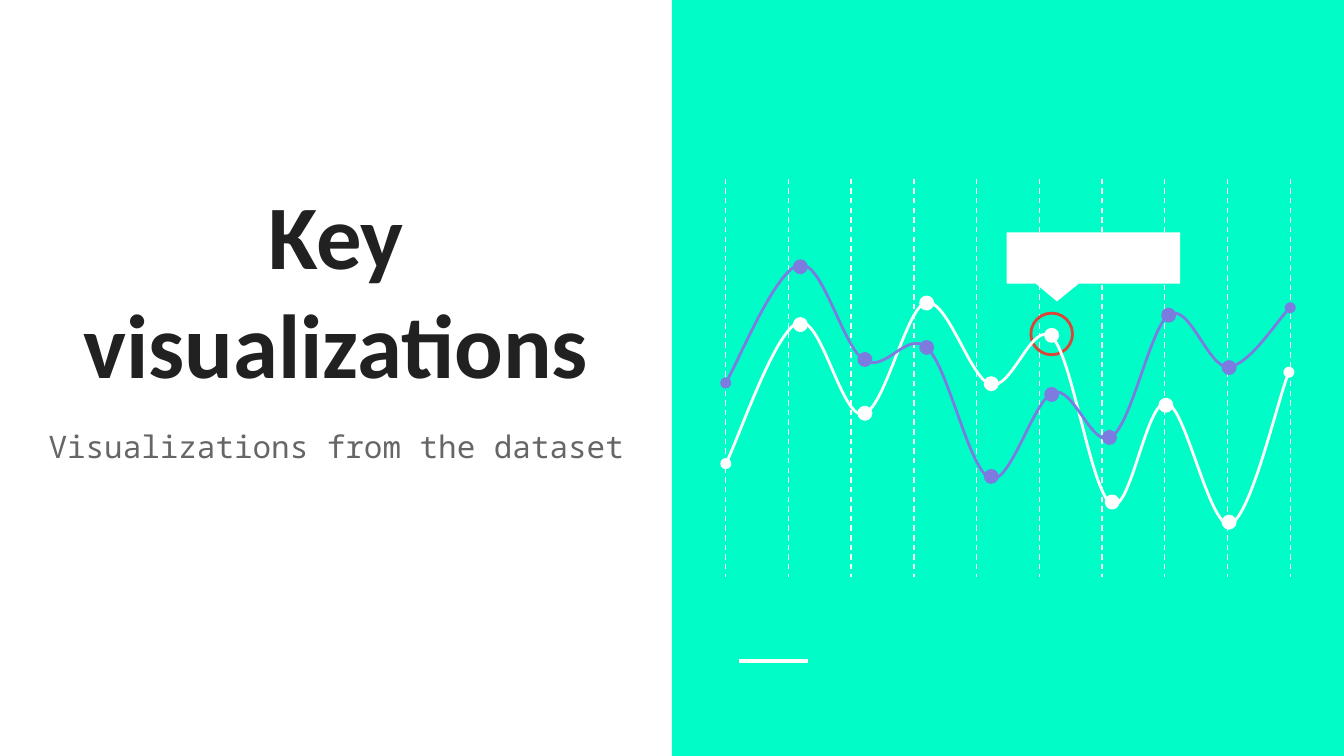
import pptx
import pptx.util
import pptx.dml.color
import pptx.enum.dml
import pptx.enum.shapes
import pptx.enum.text
import pptx.oxml
import pptx.oxml.ns

Inches = pptx.util.Inches
Pt = pptx.util.Pt
RGBColor = pptx.dml.color.RGBColor
MSO_SHAPE = pptx.enum.shapes.MSO_SHAPE
qn = pptx.oxml.ns.qn

WHITE = RGBColor(0xFF, 0xFF, 0xFF)
MINT = RGBColor(0x00, 0xFD, 0xC8)
PURPLE = RGBColor(0x7C, 0x7C, 0xE0)
RED = RGBColor(0xDB, 0x44, 0x37)
INK = RGBColor(0x21, 0x21, 0x21)
GREY = RGBColor(0x66, 0x66, 0x66)
NAMESPACE = pptx.oxml.ns.nsdecls("a")
SLIDE_WIDTH = 10
SLIDE_HEIGHT = SLIDE_WIDTH * 9 / 16


def draw_shape(shapes, kind, box, fill=None, line=None):
    shape = shapes.add_shape(kind, *map(Inches, box))
    shape.shadow.inherit = False
    if fill is None:
        shape.fill.background()
    else:
        shape.fill.solid()
        shape.fill.fore_color.rgb = fill
    if line is None:
        shape.line.fill.background()
    else:
        shape.line.color.rgb = line
        shape.line.width = Pt(1.5)
    return shape


def draw_rule(shapes, start, end, width):
    rule = shapes.add_connector(
        pptx.enum.shapes.MSO_CONNECTOR.STRAIGHT, *map(Inches, start + end))
    rule.line.color.rgb = WHITE
    rule.line.width = Pt(width)
    rule._element.spPr.append(pptx.oxml.parse_xml(f"<a:effectLst {NAMESPACE}/>"))
    return rule


presentation = pptx.Presentation()
presentation.slide_width = Inches(SLIDE_WIDTH)
presentation.slide_height = Inches(SLIDE_HEIGHT)
slide = presentation.slides.add_slide(presentation.slide_layouts[0])
slide.background.fill.solid()
slide.background.fill.fore_color.rgb = WHITE

title, subtitle = slide.placeholders
ANCHOR = pptx.enum.text.MSO_ANCHOR
for heading, text, box, anchor, size, font, color, bold in (
    (title, "Key visualizations", (0.29, 2.03, 4.42, 1.02), ANCHOR.BOTTOM,
     48.6, "Calibri", INK, True),
    (subtitle, "Visualizations from the dataset", (0, 3.11, 5, 0.48), ANCHOR.TOP,
     16.6, "Noto Sans Mono", GREY, False),
):
    heading.left, heading.top, heading.width, heading.height = map(Inches, box)
    frame = heading.text_frame
    frame.text = text
    frame.word_wrap = True
    frame.auto_size = pptx.enum.text.MSO_AUTO_SIZE.NONE
    frame.vertical_anchor = anchor
    frame.margin_left = frame.margin_right = Inches(0.1)
    frame.margin_top = frame.margin_bottom = Inches(0.1)
    paragraph = frame.paragraphs[0]
    paragraph.alignment = pptx.enum.text.PP_ALIGN.CENTER
    paragraph.space_before = Pt(0)
    run = paragraph.runs[0]
    run.font.size = Pt(size)
    run.font.name = font
    run.font.bold = bold
    run.font.color.rgb = color
subtitle.text_frame.paragraphs[0].line_spacing = 0.9

draw_shape(slide.shapes, MSO_SHAPE.RECTANGLE, (5, 0, 5, SLIDE_HEIGHT), MINT)
draw_rule(slide.shapes, (5.5, 4.92), (6.01, 4.92), 2.25)

grid = slide.shapes.add_group_shape().shapes
for column in range(10):
    x = 5.4 + column * 4.2 / 9
    grid_line = draw_rule(grid, (x, 1.33), (x, 4.29), 0.75)
    grid_line.line.dash_style = pptx.enum.dml.MSO_LINE.DASH

draw_shape(slide.shapes, MSO_SHAPE.OVAL, (7.67, 2.33, 0.31, 0.31), line=RED)
callout = draw_shape(slide.shapes, MSO_SHAPE.ROUNDED_RECTANGULAR_CALLOUT,
                     (7.49, 1.73, 1.29, 0.38), WHITE)
for index, adjustment in enumerate((-0.21, 0.85, 0)):
    callout.adjustments[index] = adjustment

WHITE_CURVE = [
    (5.4, 3.45),
    (5.49, 3.28), (5.77, 2.46), (5.94, 2.4),
    (6.11, 2.34), (6.26, 3.11), (6.42, 3.08),
    (6.58, 3.06), (6.74, 2.29), (6.89, 2.25),
    (7.05, 2.22), (7.22, 2.82), (7.37, 2.86),
    (7.53, 2.91), (7.68, 2.37), (7.83, 2.51),
    (7.98, 2.66), (8.12, 3.67), (8.27, 3.75),
    (8.41, 3.83), (8.53, 2.97), (8.68, 3),
    (8.82, 3.02), (9, 3.93), (9.15, 3.9),
    (9.3, 3.86), (9.51, 2.96), (9.59, 2.77),
]
WHITE_DOTS = [(5.91, 2.37), (6.39, 3.03), (6.85, 2.21), (7.33, 2.81),
              (7.78, 2.45), (8.23, 3.69), (8.63, 2.97), (9.1, 3.84)]
PURPLE_CURVE = [
    (5.4, 2.85),
    (5.49, 2.7), (5.78, 2), (5.95, 1.97),
    (6.12, 1.94), (6.27, 2.58), (6.43, 2.68),
    (6.59, 2.78), (6.75, 2.45), (6.9, 2.59),
    (7.06, 2.74), (7.21, 3.5), (7.37, 3.56),
    (7.52, 3.61), (7.69, 2.97), (7.84, 2.92),
    (7.99, 2.87), (8.13, 3.35), (8.27, 3.25),
    (8.42, 3.16), (8.56, 2.43), (8.7, 2.34),
    (8.85, 2.25), (8.99, 2.74), (9.14, 2.73),
    (9.29, 2.72), (9.52, 2.36), (9.6, 2.29),
]
PURPLE_DOTS = [(5.91, 1.94), (6.39, 2.63), (6.85, 2.54), (7.33, 3.5),
               (7.78, 2.89), (8.21, 3.21), (8.65, 2.3), (9.1, 2.69)]

for color, curve_points, dots in ((WHITE, WHITE_CURVE, WHITE_DOTS),
                                  (PURPLE, PURPLE_CURVE, PURPLE_DOTS)):
    series = slide.shapes.add_group_shape().shapes
    points = [(Inches(x), Inches(y)) for x, y in curve_points]
    builder = series.build_freeform(*points[0])
    builder.add_line_segments(points[1:], close=False)
    curve = builder.convert_to_shape()
    curve.shadow.inherit = False
    curve.fill.background()
    curve.line.color.rgb = color
    curve.line.width = Pt(1.5)
    for end in ("headEnd", "tailEnd"):
        curve.line._get_or_add_ln().append(
            pptx.oxml.parse_xml(f'<a:{end} {NAMESPACE} type="oval"/>'))

    segments = list(curve._element.iter(qn("a:lnTo")))
    for first in range(0, len(segments), 3):
        bezier = pptx.oxml.parse_xml(f"<a:cubicBezTo {NAMESPACE}/>")
        segments[first].addprevious(bezier)
        for segment in segments[first:first + 3]:
            bezier.append(segment[0])
            segment.getparent().remove(segment)

    for left, top in dots:
        draw_shape(series, MSO_SHAPE.OVAL, (left, top, 0.09, 0.09), color, color)

presentation.save("out.pptx")
